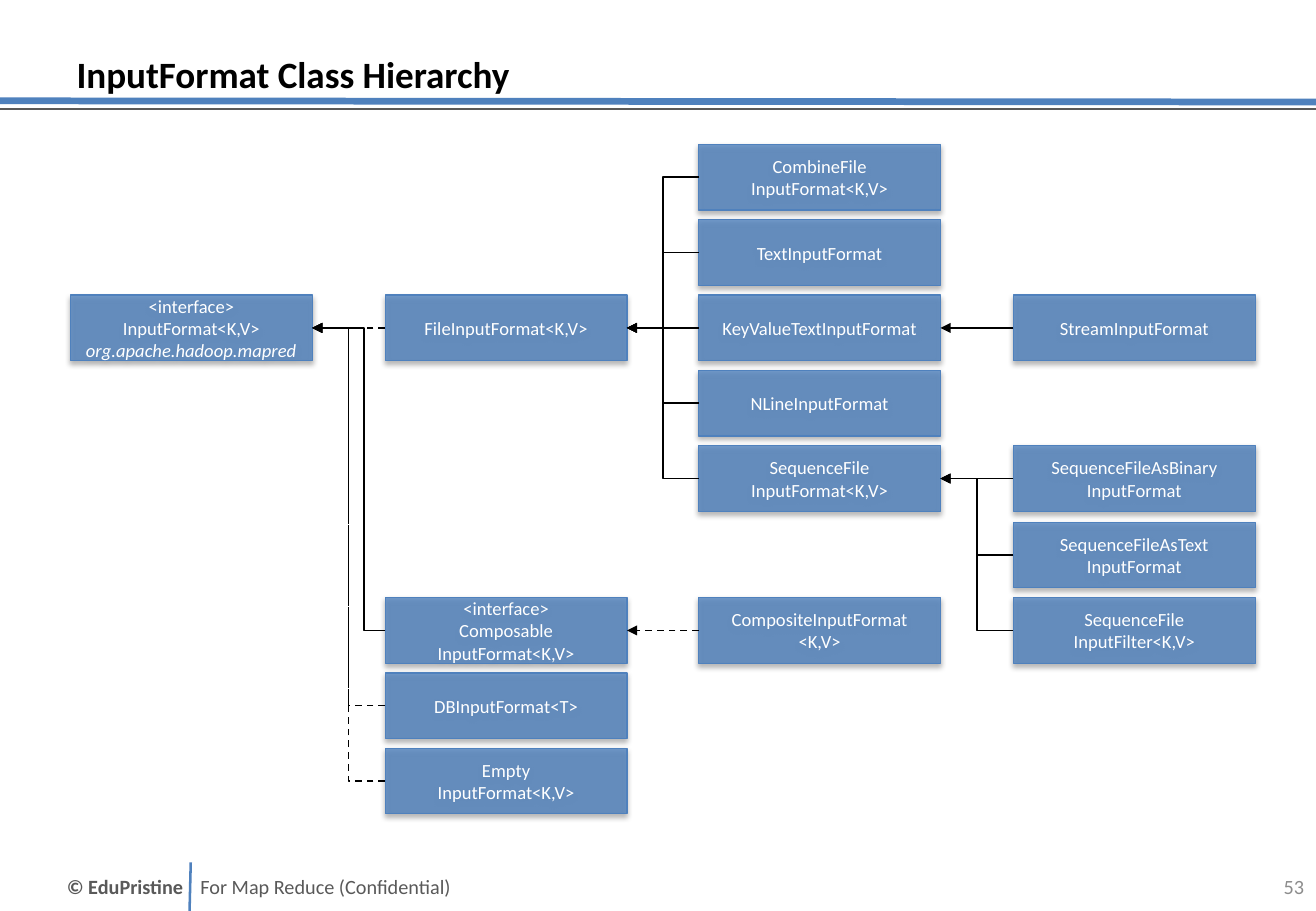
from lxml.etree import SubElement
from pptx import Presentation
from pptx.dml.color import RGBColor
from pptx.enum.dml import MSO_LINE
from pptx.enum.shapes import MSO_CONNECTOR, MSO_SHAPE
from pptx.enum.text import MSO_ANCHOR, MSO_AUTO_SIZE, PP_ALIGN
from pptx.oxml.ns import qn
from pptx.util import Pt

PX = 9144  # 100 px to the inch
BLUE, GREY, BLACK = "4F81BD", "595959", "000000"
LEFT, TOP, BOX_W, BOX_H = 58, 119, 199, 54
COLUMN_STEP, ROW_STEP = 258.7, 62.1

# key: column, row, text
CLASSES = {
    "sequence": (2, 4, "SequenceFile\nInputFormat<K,V>"),
    "nline": (2, 3, "NLineInputFormat"),
    "composite": (2, 6, "CompositeInputFormat\n<K,V>"),
    "text": (2, 1, "TextInputFormat"),
    "key value": (2, 2, "KeyValueTextInputFormat"),
    "combine": (2, 0, "CombineFile\nInputFormat<K,V>"),
    "as text": (3, 5, "SequenceFileAsText InputFormat"),
    "as binary": (3, 4, "SequenceFileAsBinary InputFormat"),
    "filter": (3, 6, "SequenceFile\nInputFilter<K,V>"),
    "stream": (3, 2, "StreamInputFormat"),
    "composable": (1, 6, "<interface>\nComposable\nInputFormat<K,V>"),
    "db": (1, 7, "DBInputFormat<T>"),
    "empty": (1, 8, "Empty\nInputFormat<K,V>"),
    "file": (1, 2, "FileInputFormat<K,V>"),
    "input": (0, 2, "<interface>\nInputFormat<K,V>\norg.apache.hadoop.mapred"),
}
# child, parent, dashed
LINKS = [
    ("filter", "sequence", False),
    ("as text", "sequence", False),
    ("as binary", "sequence", False),
    ("stream", "key value", False),
    ("key value", "file", False),
    ("combine", "file", False),
    ("text", "file", False),
    ("nline", "file", False),
    ("sequence", "file", False),
    ("composite", "composable", True),
    ("composable", "input", False),
    ("file", "input", True),
    ("db", "input", True),
    ("empty", "input", True),
]
BEND = {"composable": 28700}  # thousandths of a percent, where not halfway


def rgb(color):
    return RGBColor.from_string(color)


def px(*lengths):
    return [round(n) * PX for n in lengths]


def write(s, text, size, color, align=PP_ALIGN.LEFT, anchor=MSO_ANCHOR.MIDDLE,
          insets=(5, 5), bold=False):
    """Fill a shape with one paragraph; insets are horizontal and vertical."""
    tf = s.text_frame
    across, down = px(*insets)
    settings = {"word_wrap": True, "auto_size": MSO_AUTO_SIZE.NONE,
                "vertical_anchor": anchor,
                "margin_left": across, "margin_right": across,
                "margin_top": down, "margin_bottom": down}
    for name, value in settings.items():
        setattr(tf, name, value)
    p = tf.paragraphs[0]
    p.text = text
    p.alignment = align
    for r in p.runs:
        for name, value in {"name": "Calibri", "size": Pt(size), "bold": bold}.items():
            setattr(r.font, name, value)
        r.font.color.rgb = rgb(color)
    for line_break in p._p.findall(qn("a:br")):
        SubElement(line_break, qn("a:rPr"), sz=str(size * 100))
    return p


def add_text(slide, box, text, color, **options):
    write(slide.shapes.add_textbox(*px(*box)), text, 12, color, **options)


def add_line(slide, ends, color, width, kind=MSO_CONNECTOR.STRAIGHT):
    c = slide.shapes.add_connector(kind, *px(*ends))
    c.line.color.rgb = rgb(color)
    c.line.width = Pt(width)
    SubElement(c._element.spPr, qn("a:effectLst"))
    return c


def add_class(slide, column, row, text):
    s = slide.shapes.add_shape(
        MSO_SHAPE.RECTANGLE,
        *px(LEFT + COLUMN_STEP * column, TOP + ROW_STEP * row, BOX_W, BOX_H))
    s.fill.solid()
    s.fill.fore_color.rgb = rgb(BLUE)
    s.line.color.rgb = rgb(BLUE)
    s.line.width = Pt(0.75)
    s.shadow.inherit = False
    spPr = s._element.spPr
    SubElement(spPr.find(f"{qn('a:solidFill')}/{qn('a:srgbClr')}"),
               qn("a:alpha"), val="80000")
    shadow = SubElement(spPr.find(qn("a:effectLst")), qn("a:outerShdw"),
                        blurRad="40000", dist="23000", dir="5400000", rotWithShape="0")
    SubElement(SubElement(shadow, qn("a:srgbClr"), val=BLACK), qn("a:alpha"), val="35000")
    p = write(s, text, 11, "FFFFFF", align=PP_ALIGN.CENTER, insets=(3, 5))
    for r in p.runs:
        if r.text.startswith("org."):
            r.font.italic = True
    return s


def add_link(slide, child, parent, dashed, bend):
    """Point an arrow from the child's left side to the parent's right side."""
    level = child.top == parent.top
    kind = MSO_CONNECTOR.STRAIGHT if level else MSO_CONNECTOR.ELBOW
    c = add_line(slide, (0, 0, 0, 0), BLACK, 1, kind)
    c.begin_connect(child, 1)
    c.end_connect(parent, 3)
    if dashed:
        c.line.dash_style = MSO_LINE.DASH
    spPr = c._element.spPr
    SubElement(spPr.find(qn("a:ln")), qn("a:tailEnd"), type="triangle")
    if bend:
        SubElement(spPr.find(f"{qn('a:prstGeom')}/{qn('a:avLst')}"), qn("a:gd"),
                   name="adj1", fmla=f"val {bend}")


def add_title(slide, text):
    s = slide.shapes.title
    s.left, s.top, s.width, s.height = px(58, 7, 886, 77)
    p = write(s, text, 22, BLACK, anchor=MSO_ANCHOR.BOTTOM, bold=True)
    p.line_spacing = Pt(22)


def add_frame(slide):
    """Draw the footer and the rules under the title."""
    add_text(slide, (55, 710, 153, 40), "© EduPristine", GREY, insets=(0, 5), bold=True)
    add_line(slide, (157, 710, 156, 750), BLUE, 1.5)
    add_text(slide, (165, 710, 343, 40), "For Map Reduce (Confidential)", GREY, insets=(0, 5))
    add_line(slide, (0, 83, 1083, 84), BLUE, 4)
    add_line(slide, (0, 90, 1083, 90), GREY, 1)
    add_text(slide, (1029, 710, 54, 40), "53", "8C8C8C", align=PP_ALIGN.RIGHT, insets=(10, 5))


def main():
    prs = Presentation()
    prs.slide_width, prs.slide_height = px(1083, 750)
    slide = prs.slides.add_slide(prs.slide_layouts[5])
    add_frame(slide)
    add_title(slide, "InputFormat Class Hierarchy")
    boxes = {key: add_class(slide, *cell) for key, cell in CLASSES.items()}
    for child, parent, dashed in LINKS:
        add_link(slide, boxes[child], boxes[parent], dashed, BEND.get(child))
    prs.save("out.pptx")


if __name__ == "__main__":
    main()
